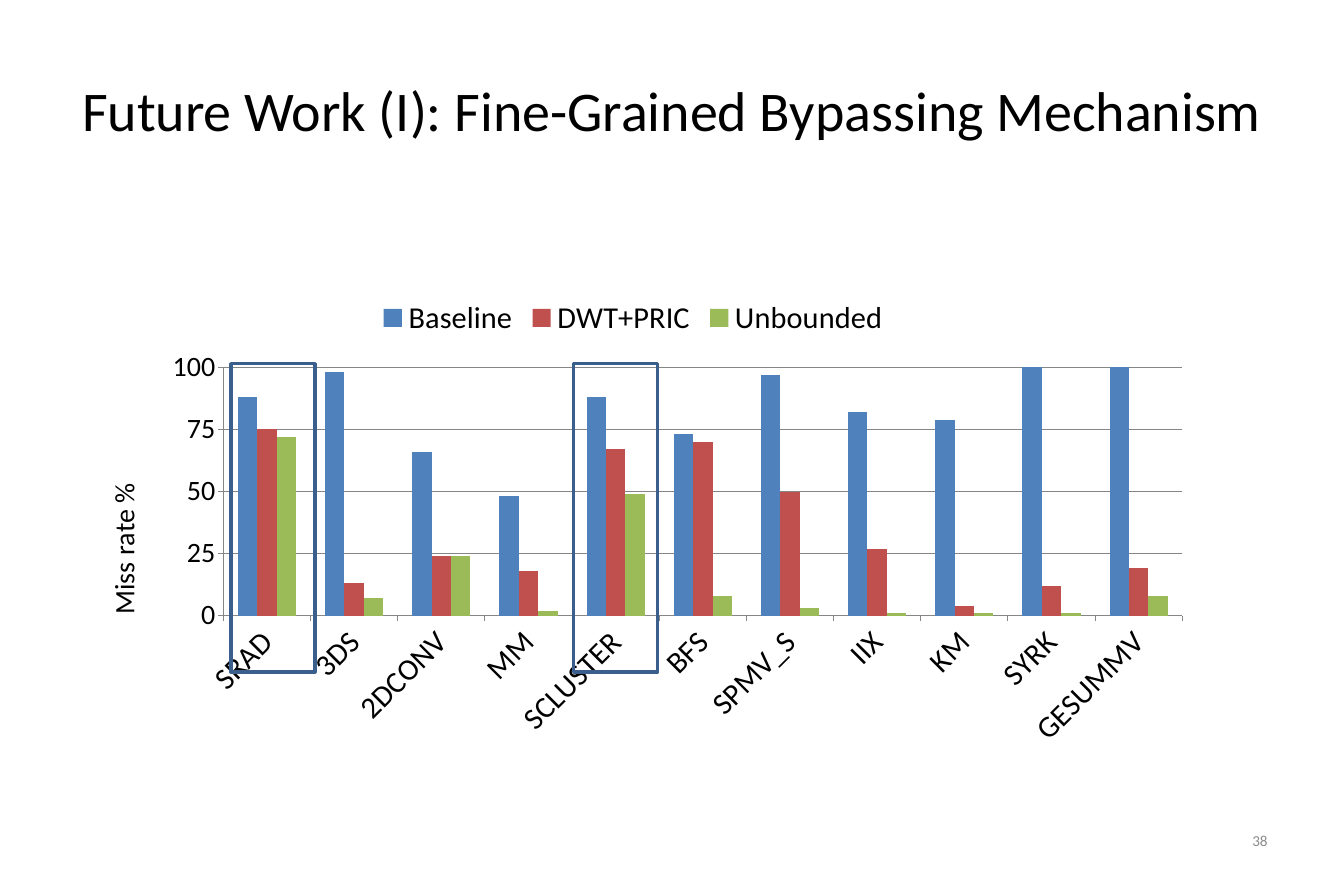
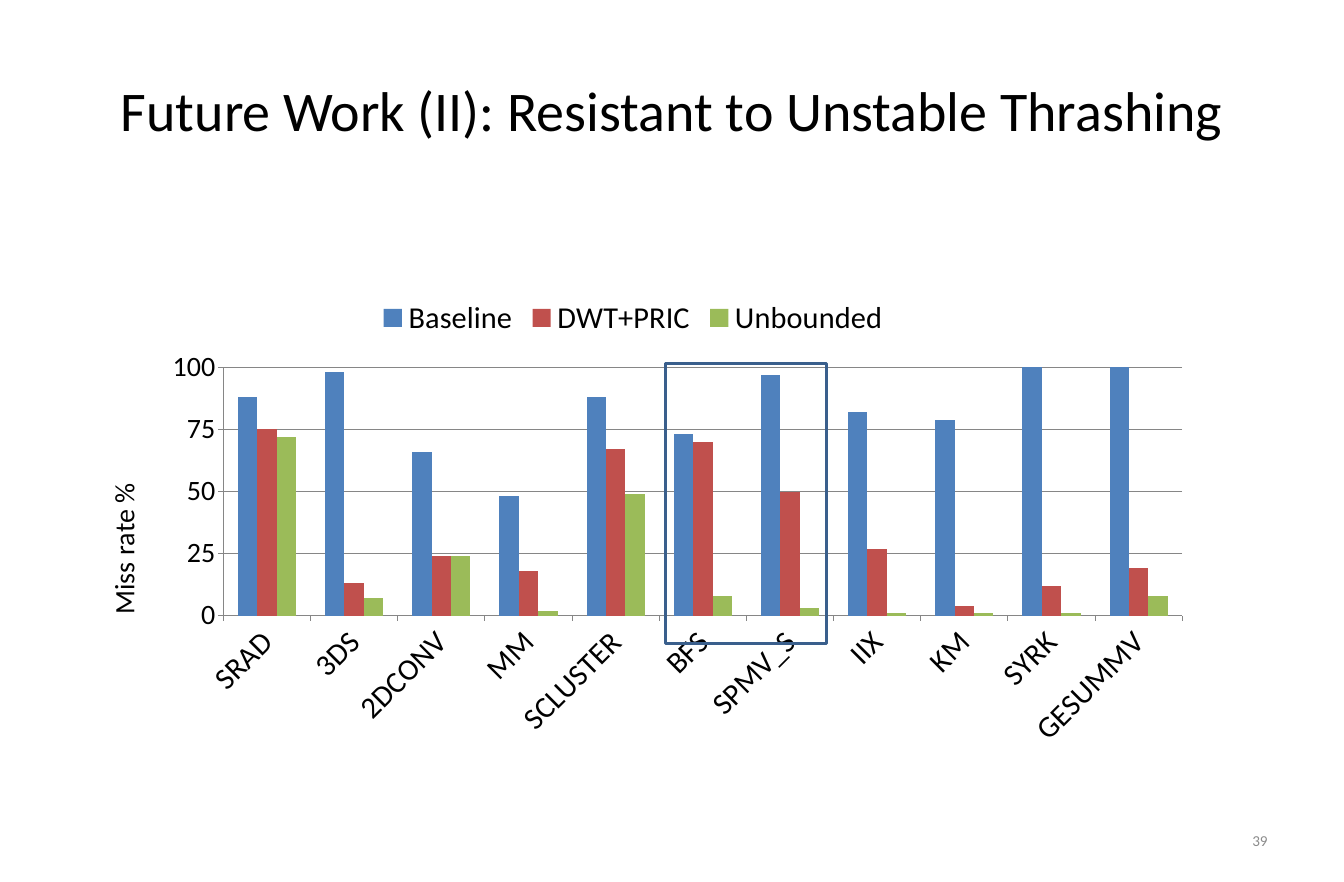
from lxml import etree
from pptx import Presentation
from pptx.chart.data import CategoryChartData
from pptx.dml.color import RGBColor
from pptx.enum.chart import XL_CHART_TYPE, XL_LEGEND_POSITION, XL_TICK_MARK
from pptx.enum.shapes import MSO_SHAPE
from pptx.enum.text import MSO_ANCHOR, PP_ALIGN
from pptx.oxml import parse_xml
from pptx.util import Inches, Pt

FONT = "Calibri"
BLACK = RGBColor(0x00, 0x00, 0x00)
GRAY = RGBColor(0x8C, 0x8C, 0x8C)
AXIS_GRAY = RGBColor(0x86, 0x86, 0x86)
HIGHLIGHT_BLUE = RGBColor(0x3A, 0x5F, 0x8C)
BLUE = RGBColor(0x4F, 0x81, 0xBD)
RED = RGBColor(0xC0, 0x50, 0x4D)
GREEN = RGBColor(0x9B, 0xBB, 0x59)

WIDTH, HEIGHT = 16, 10.5
MARGIN = WIDTH / 20
HIGHLIGHT_TOP = 4.33
CHART_NAMESPACE = "http://schemas.openxmlformats.org/drawingml/2006/chart"
PLOT_SHARES = {"x": 0.127, "y": 0.166, "w": 0.873, "h": 0.514}

BENCHMARKS = ["SRAD", "3DS", "2DCONV", "MM", "SCLUSTER", "BFS",
              "SPMV_S", "IIX", "KM", "SYRK", "GESUMMV"]
MISS_RATES = [
    ("Baseline", BLUE, [88, 98, 66, 48, 88, 73, 97, 82, 79, 100, 100]),
    ("DWT+PRIC", RED, [75, 13, 24, 18, 67, 70, 50, 27, 4, 12, 19]),
    ("Unbounded", GREEN, [72, 7, 24, 2, 49, 8, 3, 1, 1, 1, 8]),
]

# Title, page number, highlight boxes as (left, width, height)
SLIDES = [
    ("Future Work (I): Fine-Grained Bypassing Mechanism", 38,
     [(2.75, 1, 3.67), (6.83, 1, 3.67)]),
    ("Future Work (II): Resistant to Unstable Thrashing", 39,
     [(7.92, 1.92, 3.33)]),
]


def write(text_frame, text, size, color, alignment):
    text_frame.text = text
    text_frame.word_wrap = True
    text_frame.vertical_anchor = MSO_ANCHOR.MIDDLE
    text_frame.margin_left = text_frame.margin_right = Inches(0.11)
    text_frame.margin_top = text_frame.margin_bottom = Inches(0.05)
    paragraph = text_frame.paragraphs[0]
    paragraph.alignment = alignment
    font = paragraph.runs[0].font
    font.name, font.size, font.color.rgb = FONT, Pt(size), color


def add_miss_rate_chart(slide):
    chart_data = CategoryChartData(number_format="0")
    chart_data.categories = BENCHMARKS
    for name, _, values in MISS_RATES:
        chart_data.add_series(name, values)
    chart = slide.shapes.add_chart(
        XL_CHART_TYPE.COLUMN_CLUSTERED,
        Inches(1), Inches(3.42), Inches(13.08), Inches(5.75), chart_data).chart
    chart.has_title = False
    chart.font.name, chart.font.size = FONT, Pt(18)
    chart.font.color.rgb = BLACK

    chart.has_legend = True
    chart.legend.position = XL_LEGEND_POSITION.TOP
    chart.legend.include_in_layout = False
    chart.legend.font.size = Pt(26)

    plot = chart.plots[0]
    plot.gap_width, plot.overlap = 150, 0
    plot.vary_by_categories = False
    for series, (_, color, _) in zip(plot.series, MISS_RATES):
        series.format.fill.solid()
        series.format.fill.fore_color.rgb = color

    for axis, size in [(chart.category_axis, 26), (chart.value_axis, 24)]:
        axis.tick_labels.font.size = Pt(size)
        axis.major_tick_mark = XL_TICK_MARK.OUTSIDE
        axis.minor_tick_mark = XL_TICK_MARK.NONE
        axis.format.line.color.rgb = AXIS_GRAY
    label_properties = chart.category_axis.tick_labels.font._element.getparent().getparent().getparent()
    label_properties.find("{*}bodyPr").set("rot", "-2700000")

    value_axis = chart.value_axis
    value_axis.minimum_scale, value_axis.maximum_scale = 0, 100
    value_axis.major_unit = 25
    value_axis.has_major_gridlines = True
    value_axis.major_gridlines.format.line.color.rgb = AXIS_GRAY
    title_frame = value_axis.axis_title.text_frame
    title_frame.text = "Miss rate %"
    title_font = title_frame.paragraphs[0].runs[0].font
    title_font.name, title_font.size, title_font.bold = FONT, Pt(24), False
    title_font.color.rgb = BLACK

    plot_area = chart._chartSpace.chart.plotArea
    for old_layout in plot_area.findall("{*}layout"):
        plot_area.remove(old_layout)
    layout = parse_xml(f'<c:layout xmlns:c="{CHART_NAMESPACE}"><c:manualLayout/></c:layout>')
    settings = {"layoutTarget": "inner", "xMode": "edge", "yMode": "edge", **PLOT_SHARES}
    for tag, value in settings.items():
        etree.SubElement(layout[0], f"{{{CHART_NAMESPACE}}}{tag}").set("val", str(value))
    plot_area.insert(0, layout)


presentation = Presentation()
presentation.slide_width = Inches(WIDTH)
presentation.slide_height = Inches(HEIGHT)

for title_text, page_number, highlights in SLIDES:
    slide = presentation.slides.add_slide(presentation.slide_layouts[5])
    title = slide.shapes.title
    title.left, title.top = Inches(MARGIN), Inches(HEIGHT * 0.04)
    title.width, title.height = Inches(WIDTH - 2 * MARGIN), Inches(HEIGHT / 6)
    write(title.text_frame, title_text, 48, BLACK, PP_ALIGN.CENTER)

    add_miss_rate_chart(slide)

    number_box = slide.shapes.add_textbox(
        Inches(11.47), Inches(9.73), Inches(3.73), Inches(0.56))
    write(number_box.text_frame, str(page_number), 13, GRAY, PP_ALIGN.RIGHT)

    for left, width, height in highlights:
        highlight = slide.shapes.add_shape(
            MSO_SHAPE.RECTANGLE, Inches(left), Inches(HIGHLIGHT_TOP),
            Inches(width), Inches(height))
        highlight.shadow.inherit = False
        highlight.fill.background()
        highlight.line.color.rgb = HIGHLIGHT_BLUE
        highlight.line.width = Pt(3)

presentation.save("out.pptx")
